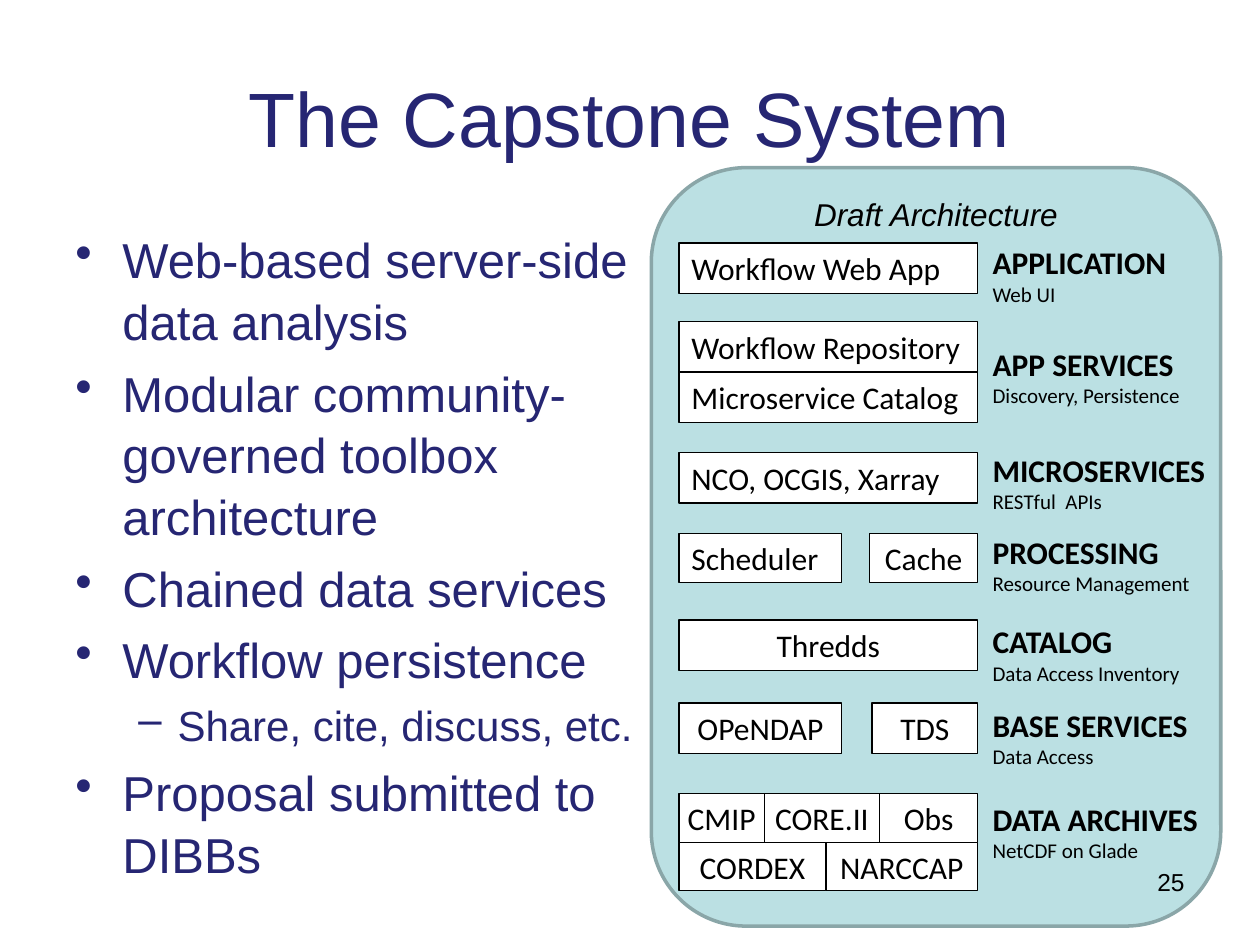
"""Build the Capstone System slide: bullets beside a layered architecture diagram."""
import pptx
import pptx.dml.color
import pptx.enum.shapes
import pptx.enum.text
import pptx.oxml
import pptx.oxml.ns
import pptx.util

Cm = pptx.util.Cm
Pt = pptx.util.Pt
ALIGN = pptx.enum.text.PP_ALIGN
ANCHOR = pptx.enum.text.MSO_ANCHOR
SHAPE = pptx.enum.shapes.MSO_SHAPE

COLORS = {"navy": "262673", "black": "000000", "white": "FFFFFF",
          "panel": "BBE0E3", "panel_line": "8AA6A8"}

BOX_X, LABEL_X = 13.69, 19.76
FULL, LEFT_HALF = 6.02, 3.28
BOX_H, ARCHIVE_H = 1.02, 0.98
ARCHIVE_Y = 16.0

BULLETS = [
    ("Web-based server-side data analysis", 0),
    ("Modular community-governed toolbox architecture", 0),
    ("Chained data services", 0),
    ("Workflow persistence", 0),
    ("Share, cite, discuss, etc.", 1),
    ("Proposal submitted to DIBBs", 0),
]
LEVELS = [
    {"char": "•", "left": 0.95, "hang": 0.95, "size": 28},
    {"char": "–", "left": 2.06, "hang": 0.79, "size": 24},
]

LABELS = [
    (4.78, "APPLICATION", "Web UI"),
    (6.83, "APP SERVICES", "Discovery, Persistence"),
    (8.97, "MICROSERVICES", "RESTful  APIs"),
    (10.62, "PROCESSING", "Resource Management"),
    (12.42, "CATALOG", "Data Access Inventory"),
    (14.1, "BASE SERVICES", "Data Access"),
    (16.0, "DATA ARCHIVES", "NetCDF on Glade"),
]

ROWS = [
    (4.9, BOX_H, [("Workflow Web App", 0, FULL, ALIGN.LEFT)]),
    (6.48, BOX_H, [("Workflow Repository", 0, FULL, ALIGN.LEFT)]),
    (6.48 + BOX_H, BOX_H, [("Microservice Catalog", 0, FULL, ALIGN.LEFT)]),
    (9.12, BOX_H, [("NCO, OCGIS, Xarray", 0, FULL, ALIGN.LEFT)]),
    (10.76, ARCHIVE_H, [("Scheduler", 0, LEFT_HALF, ALIGN.LEFT),
                        ("Cache", 3.84, 2.18, ALIGN.CENTER)]),
    (12.5, BOX_H, [("Thredds", 0, FULL, ALIGN.CENTER)]),
    (14.17, BOX_H, [("OPeNDAP", 0, LEFT_HALF, ALIGN.CENTER),
                    ("TDS", 3.89, 2.13, ALIGN.CENTER)]),
    (ARCHIVE_Y, ARCHIVE_H, [("CMIP", 0, 1.72, ALIGN.CENTER),
                            ("CORE.II", 1.72, 2.32, ALIGN.CENTER),
                            ("Obs", 4.04, 1.98, ALIGN.CENTER)]),
    (ARCHIVE_Y + ARCHIVE_H, ARCHIVE_H, [("CORDEX", 0, 2.96, ALIGN.CENTER),
                                        ("NARCCAP", 2.96, 3.06, ALIGN.CENTER)]),
]


def rgb(name):
    return pptx.dml.color.RGBColor.from_string(COLORS[name])


def add_run(p, text, size, font="Calibri", color="black", bold=False, italic=False):
    r = p.add_run()
    r.text = text
    r.font.name = font
    r.font.size = Pt(size)
    r.font.bold = bold
    r.font.italic = italic
    r.font.color.rgb = rgb(color)


def add_text_box(s, x, y, w, h, anchor=ANCHOR.TOP):
    tf = s.shapes.add_textbox(Cm(x), Cm(y), Cm(w), Cm(h)).text_frame
    tf.word_wrap = True
    tf.vertical_anchor = anchor
    return tf


def add_block(s, kind, x, y, w, h, fill, line, line_width):
    sp = s.shapes.add_shape(kind, Cm(x), Cm(y), Cm(w), Cm(h))
    sp.shadow.inherit = False
    sp.fill.solid()
    sp.fill.fore_color.rgb = rgb(fill)
    sp.line.color.rgb = rgb(line)
    sp.line.width = Pt(line_width)
    tf = sp.text_frame
    tf.word_wrap = True
    tf.margin_left = tf.margin_right = tf.margin_top = tf.margin_bottom = 0
    return tf


def add_panel(s):
    tf = add_block(s, SHAPE.ROUNDED_RECTANGLE, 13.13, 3.38, 11.48, 15.29,
                   "panel", "panel_line", 2)
    tf.vertical_anchor = ANCHOR.TOP
    p = tf.paragraphs[0]
    p.alignment = ALIGN.CENTER
    add_run(p, "Draft Architecture", 18, "Arial", italic=True)


def add_component(s, text, x, y, w, h, align):
    tf = add_block(s, SHAPE.RECTANGLE, x, y, w, h, "white", "black", 0.75)
    tf.vertical_anchor = ANCHOR.MIDDLE
    if align == ALIGN.LEFT:
        tf.margin_left = Cm(0.25)
    p = tf.paragraphs[0]
    p.alignment = align
    add_run(p, text, 18)


def add_layer_label(s, y, name, detail):
    tf = add_text_box(s, LABEL_X, y, 4.88, 1.55)
    add_run(tf.paragraphs[0], name, 18, bold=True)
    add_run(tf.add_paragraph(), detail, 12)


def add_line(s, text, x, y, w, h, size, color, align, anchor=ANCHOR.TOP):
    p = add_text_box(s, x, y, w, h, anchor).paragraphs[0]
    p.alignment = align
    add_run(p, text, size, "Arial", color)


def set_bullet(p, level):
    pPr = p._p.get_or_add_pPr()
    pPr.set("marL", str(Cm(level["left"])))
    pPr.set("indent", str(-Cm(level["hang"])))
    bu = pptx.oxml.parse_xml('<a:buChar %s char="%s"/>' % (
        pptx.oxml.ns.nsdecls("a"), level["char"]))
    pPr.append(bu)


def add_bullets(s):
    tf = add_text_box(s, 1.27, 4.45, 13.21, 12.57)
    for i, (text, depth) in enumerate(BULLETS):
        level = LEVELS[depth]
        p = tf.add_paragraph() if i else tf.paragraphs[0]
        set_bullet(p, level)
        p.level = depth
        p.line_spacing = 1.05
        if i:
            p.space_before = Pt(0.2 * level["size"])
        add_run(p, text, level["size"], "Arial", "navy")


def main():
    prs = pptx.Presentation()
    prs.slide_width, prs.slide_height = Cm(25.4), Cm(19.05)
    s = prs.slides.add_slide(prs.slide_layouts[6])
    add_panel(s)
    add_line(s, "The Capstone System", 1.27, 0.76, 22.86, 3.18, 44, "navy",
             ALIGN.CENTER, ANCHOR.MIDDLE)
    add_bullets(s)
    for y, h, components in ROWS:
        for text, offset, w, align in components:
            add_component(s, text, BOX_X + offset, y, w, h, align)
    for y, name, detail in LABELS:
        add_layer_label(s, y, name, detail)
    add_line(s, "25", 18.21, 17.35, 5.92, 1.32, 14, "black", ALIGN.RIGHT)
    prs.save("out.pptx")


if __name__ == "__main__":
    main()
